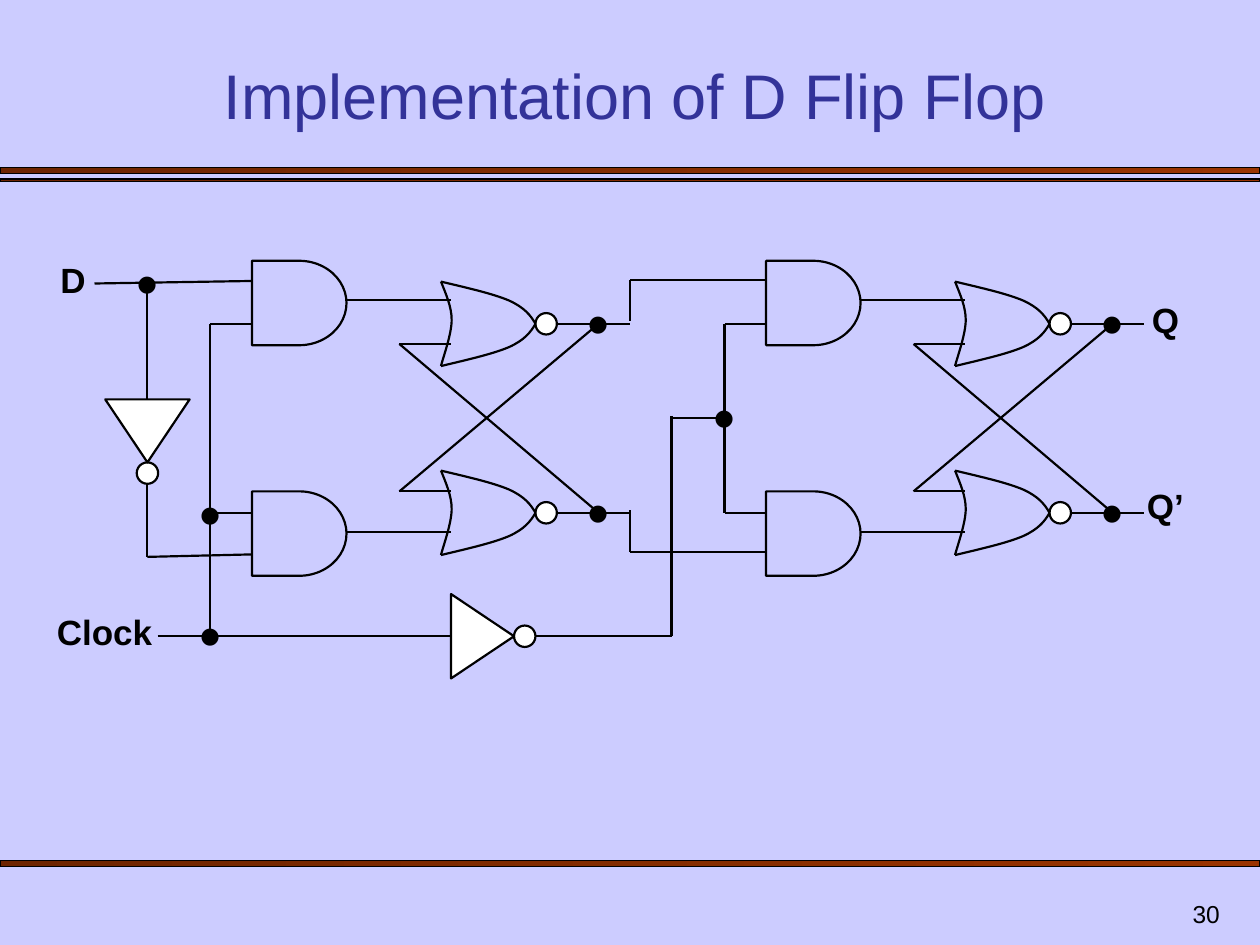
from lxml.etree import SubElement
from pptx import Presentation
from pptx.dml.color import RGBColor
from pptx.enum.shapes import MSO_CONNECTOR, MSO_SHAPE
from pptx.enum.text import MSO_ANCHOR, PP_ALIGN
from pptx.oxml.ns import qn
from pptx.util import Inches, Pt

BLACK = RGBColor(0, 0, 0)
WHITE = RGBColor(255, 255, 255)
LILAC = RGBColor(0xCC, 0xCC, 0xFF)
NAVY = RGBColor(0x33, 0x33, 0x99)
BROWN = RGBColor(0x6D, 0x24, 0x00)
RUST = RGBColor(0x99, 0x33, 0x00)


class Board:
    font = "Arial"
    ink = BLACK
    width = Pt(1.25)

    def __init__(self, slide):
        self.shapes = slide.shapes

    def style(self, shape, fill=None):
        shape.shadow.inherit = False
        shape.line.color.rgb = self.ink
        shape.line.width = self.width
        if fill is None:
            shape.fill.background()
        else:
            shape.fill.solid()
            shape.fill.fore_color.rgb = fill

    def preset(self, home, kind, x, y, w, h, fill=None):
        shape = home.add_shape(kind, Inches(x), Inches(y), Inches(w), Inches(h))
        self.style(shape, fill)
        return shape

    def bar(self, y, h):
        shape = self.preset(self.shapes, MSO_SHAPE.RECTANGLE, 0, y, 10, h)
        shape.line.width = Pt(0.75)
        shape.fill.gradient()
        shape.fill.gradient_angle = 0
        for stop, color in zip(shape.fill.gradient_stops, (BROWN, RUST)):
            stop.color.rgb = color

    def text(self, words, x, y, w, h, size, bold=False, color=BLACK,
             align=PP_ALIGN.CENTER, anchor=MSO_ANCHOR.TOP):
        box = self.shapes.add_textbox(Inches(x), Inches(y), Inches(w), Inches(h))
        frame = box.text_frame
        frame.word_wrap = True
        frame.vertical_anchor = anchor
        frame.text = words
        line = frame.paragraphs[0]
        line.alignment = align
        font = line.runs[0].font
        font.name = self.font
        font.size = Pt(size)
        font.bold = bold
        font.color.rgb = color

    def label(self, words, x, y, w=0.5):
        self.text(words, x, y, w, 0.43, 20, bold=True)

    def dot(self, x, y):
        self.text("•", x - 0.25, y - 0.37, 0.5, 0.7, 36)

    def wire(self, x1, y1, x2, y2):
        line = self.shapes.add_connector(
            MSO_CONNECTOR.STRAIGHT, Inches(x1), Inches(y1), Inches(x2), Inches(y2))
        line.line.color.rgb = self.ink
        line.line.width = self.width
        SubElement(line._element.spPr, qn("a:effectLst"))

    def outline(self, home, x, y, points, close=False, fill=None):
        spots = [(Inches(x + px), Inches(y + py)) for px, py in points]
        pen = home.build_freeform(*spots[0])
        pen.add_line_segments(spots[1:], close=close)
        shape = pen.convert_to_shape()
        self.style(shape, fill)
        return shape

    def curve(self, home, x, y, points):
        shape = self.outline(home, x, y, points)
        route = next(shape._element.iter(qn("a:pathLst")))[0]
        lines = route.findall(qn("a:lnTo"))
        for i in range(0, len(lines), 3):
            bend = SubElement(route, qn("a:cubicBezTo"))
            for line in lines[i:i + 3]:
                bend.append(line[0])
                route.remove(line)

    def bubble(self, home, x, y):
        return self.preset(home, MSO_SHAPE.OVAL, x - 0.085, y - 0.085, 0.17, 0.17, WHITE)

    def gate(self, x, y):
        self.preset(self.shapes, MSO_SHAPE.FLOWCHART_DELAY, x, y, 0.75, 0.67)

    def nor(self, x, y):
        self.bubble(self.shapes, x + 0.835, y)
        home = self.shapes.add_group_shape().shapes
        self.curve(home, x, y, (
            (0, -0.335), (0.04, -0.235), (0.085, -0.135), (0.085, -0.03),
            (0.085, 0.08), (0.02, 0.26), (0, 0.335)))
        for side in (-1, 1):
            self.curve(home, x, y, [(px, side * py) for px, py in (
                (0, 0.335), (0.21, 0.285), (0.41, 0.24), (0.54, 0.185),
                (0.66, 0.13), (0.71, 0.07), (0.75, 0))])
        self.wire(x + 0.92, y, x + 1.5, y)

    def invert(self, x, y, down=False):
        home = self.shapes.add_group_shape().shapes
        reach = 0.335
        ball = self.bubble(home, x + (0 if down else reach), y + (reach if down else 0))
        body = self.outline(home, x, y, (
            (-0.25, -0.335), (-0.25, 0.335), (0.25, 0)), True, WHITE)
        if down:
            ball.rotation = body.rotation = 90

    def latch(self, x):
        top, low = 2.57, 4.07
        self.gate(x, 2.07)
        self.gate(x, 3.9)
        for y in (top, low):
            self.nor(x + 1.5, y)
            self.dot(x + 2.75, y)
            self.wire(x - 0.33, y, x, y)
        for y in (2.38, 4.22):
            self.wire(x + 0.75, y, x + 1.58, y)
        for y, far in ((2.73, low), (3.9, top)):
            self.wire(x + 1.17, y, x + 1.58, y)
            self.wire(x + 1.17, y, x + 2.75, far)


def main():
    deck = Presentation()
    deck.slide_width = Inches(10)
    deck.slide_height = Inches(7.5)
    slide = deck.slides.add_slide(deck.slide_layouts[6])
    slide.background.fill.solid()
    slide.background.fill.fore_color.rgb = LILAC
    board = Board(slide)

    for y, h in ((1.33, 0.05), (1.42, 0.02), (6.83, 0.05)):
        board.bar(y, h)
    board.text("30", 7.7, 7, 2.08, 0.42, 14,
               align=PP_ALIGN.RIGHT, anchor=MSO_ANCHOR.BOTTOM)
    board.text("Implementation of D Flip Flop", 0.58, 0.42, 8.92, 0.68, 36,
               color=NAVY, anchor=MSO_ANCHOR.BOTTOM)

    for x in (6.08, 2):
        board.latch(x)

    wires = (
        (0.75, 2.25, 2, 2.23), (1.17, 2.25, 1.17, 3.17),
        (1.17, 3.83, 1.17, 4.42), (1.17, 4.42, 2, 4.4),
        (1.67, 2.57, 1.67, 5.05), (1.25, 5.05, 3.58, 5.05),
        (4.25, 5.05, 5.33, 5.05), (5.33, 3.3, 5.33, 5.05),
        (5.33, 3.32, 5.75, 3.32), (5.75, 2.57, 5.75, 4.07),
        (5, 2.22, 5, 2.55), (5, 2.22, 6.08, 2.22),
        (5, 4.05, 5, 4.38), (5, 4.38, 6.08, 4.38),
    )
    for ends in wires:
        board.wire(*ends)

    board.invert(3.83, 5.05)
    board.invert(1.17, 3.42, down=True)

    for x, y in ((1.17, 2.25), (1.67, 4.09), (1.67, 5.05), (5.75, 3.32)):
        board.dot(x, y)
    board.label("D", 0.33, 2)
    board.label("Clock", 0.33, 4.8, 1)
    board.label("Q", 9, 2.32)
    board.label("Q’", 9, 3.8)

    deck.save("out.pptx")


if __name__ == "__main__":
    main()
